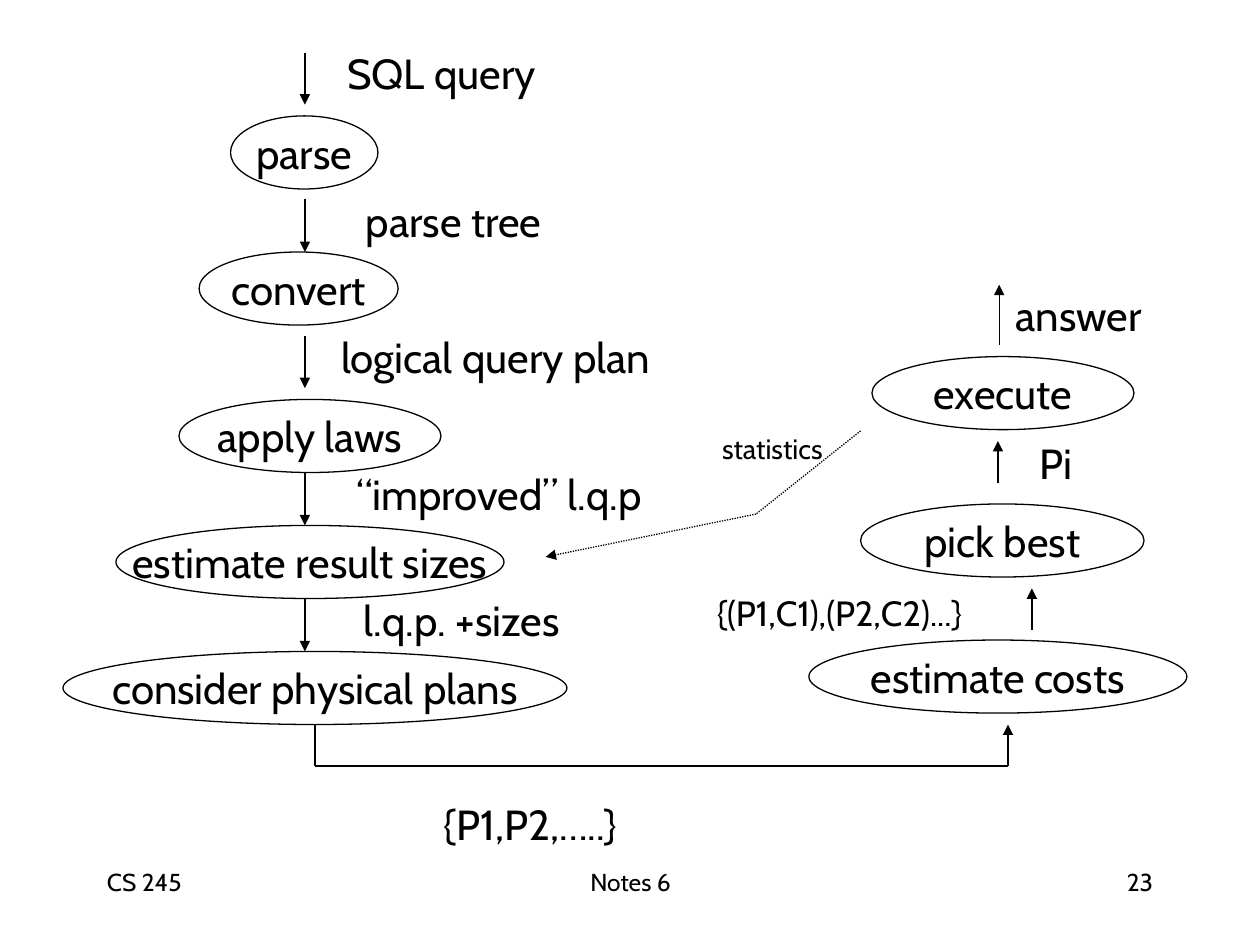
from dataclasses import dataclass

from pptx import Presentation
from pptx.dml.color import RGBColor
from pptx.enum.dml import MSO_LINE
from pptx.enum.shapes import MSO_CONNECTOR, MSO_SHAPE
from pptx.enum.text import MSO_ANCHOR, PP_ALIGN
from pptx.oxml.ns import qn
from pptx.util import Inches, Pt
from lxml.etree import SubElement


@dataclass(frozen=True)
class Theme:
    ink: RGBColor = RGBColor(0, 0, 0)
    paper: RGBColor = RGBColor(255, 255, 255)
    font: str = "Cabin"
    body: int = 24
    plans: int = 20
    note: int = 16
    footer: int = 14
    line: float = 0.75


theme = Theme()
LEFT, CENTER, RIGHT = PP_ALIGN.LEFT, PP_ALIGN.CENTER, PP_ALIGN.RIGHT


def write(shape, text, size, align=CENTER, anchor=MSO_ANCHOR.MIDDLE, wrap=False):
    frame = shape.text_frame
    frame.text = text
    frame.word_wrap = wrap
    frame.vertical_anchor = anchor
    para = frame.paragraphs[0]
    para.alignment = align
    font = para.runs[0].font
    font.name, font.size = theme.font, Pt(size)
    font.color.rgb = theme.ink


def connect(start, end, arrow=True, dotted=False):
    line = slide.shapes.add_connector(
        MSO_CONNECTOR.STRAIGHT, *(Inches(value) for value in (*start, *end)))
    line.line.color.rgb = theme.ink
    line.line.width = Pt(theme.line)
    if dotted:
        line.line.dash_style = MSO_LINE.ROUND_DOT
    if arrow:
        SubElement(line.line._get_or_add_ln(), qn("a:tailEnd"), type="triangle")
    SubElement(line._element.spPr, qn("a:effectLst"))


deck = Presentation()
deck.slide_width, deck.slide_height = Inches(10), Inches(7.5)
slide = deck.slides.add_slide(deck.slide_layouts[6])

# Footer
for text, left, width, align in [
    ("CS 245", 0.75, 2.08, LEFT),
    ("Notes 6", 3.42, 3.17, CENTER),
    ("23", 7.17, 2.08, RIGHT),
]:
    box = slide.shapes.add_textbox(Inches(left), Inches(6.83), Inches(width), Inches(0.5))
    write(box, text, theme.footer, align, MSO_ANCHOR.TOP, True)

# Processing steps: down the left column, then up the right one
for text, left, top, width in [
    ("parse", 1.83, 0.92, 1.17),
    ("convert", 1.58, 2, 1.58),
    ("apply laws", 1.42, 3.17, 2.08),
    ("estimate result sizes", 0.92, 4.17, 3.08),
    ("consider physical plans", 0.5, 5.17, 4),
    ("estimate costs", 6.42, 5.08, 3),
    ("pick best", 6.83, 4, 2.25),
    ("execute", 6.92, 2.83, 2.08),
]:
    step = slide.shapes.add_shape(
        MSO_SHAPE.OVAL, Inches(left), Inches(top), Inches(width), Inches(0.58))
    step.shadow.inherit = False
    step.fill.solid()
    step.fill.fore_color.rgb = theme.paper
    step.line.color.rgb = theme.ink
    step.line.width = Pt(theme.line)
    write(step, text, theme.body)

# Arrows down the left column
for top, bottom in [(0.42, 0.83), (1.58, 2), (2.67, 3.08), (3.75, 4.17), (4.75, 5.17)]:
    connect((2.42, top), (2.42, bottom))

# Path from the left column to the right one
connect((2.5, 5.75), (2.5, 6.08), arrow=False)
connect((2.5, 6.08), (8, 6.08), arrow=False)
connect((8, 6.08), (8, 5.75))

# Arrows up the right column
for x, bottom, top in [(8.19, 5, 4.67), (7.92, 3.83, 3.5), (7.93, 2.74, 2.26)]:
    connect((x, bottom), (x, top))

# Statistics fed back to the size estimate
connect((6.83, 3.42), (6, 4.08), arrow=False, dotted=True)
connect((6, 4.08), (4.33, 4.42), dotted=True)

# Labels on the arrows
for text, left, top, width, height, size, align in [
    ("SQL query", 2.6, 0.33, 1.81, 0.5, theme.body, CENTER),
    ("parse tree", 2.7, 1.5, 1.8, 0.5, theme.body, CENTER),
    ("logical query plan", 2.45, 2.58, 2.97, 0.5, theme.body, CENTER),
    ("“improved” l.q.p", 2.61, 3.67, 2.7, 0.5, theme.body, CENTER),
    ("l.q.p. +sizes", 2.67, 4.67, 1.99, 0.5, theme.body, CENTER),
    ("{P1,P2,…..}", 3.28, 6.29, 1.86, 0.5, theme.body, CENTER),
    ("{(P1,C1),(P2,C2)...}", 5.59, 4.64, 2.65, 0.44, theme.plans, LEFT),
    ("Pi", 8.15, 3.42, 0.49, 0.5, theme.body, LEFT),
    ("answer", 7.86, 2.25, 1.4, 0.5, theme.body, CENTER),
    ("statistics", 5.58, 3.37, 1.1, 0.37, theme.note, CENTER),
]:
    box = slide.shapes.add_textbox(Inches(left), Inches(top), Inches(width), Inches(height))
    write(box, text, size, align, wrap=size == theme.plans)

deck.save("out.pptx")
